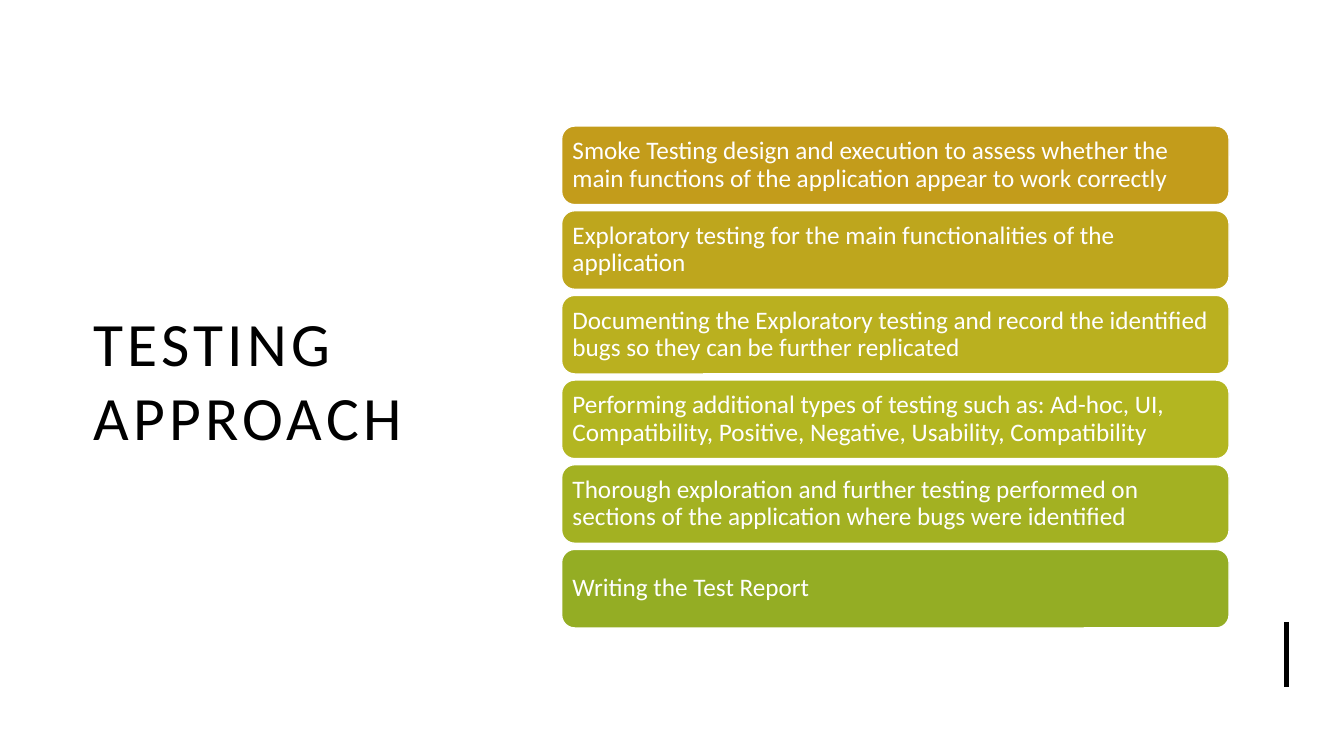
from lxml.etree import SubElement
from pptx import Presentation
from pptx.dml.color import RGBColor
from pptx.enum.shapes import MSO_CONNECTOR, MSO_SHAPE
from pptx.enum.text import MSO_ANCHOR, PP_ALIGN
from pptx.oxml.ns import qn
from pptx.util import Emu, Pt

BLACK = RGBColor(0x00, 0x00, 0x00)
WHITE = RGBColor(0xFF, 0xFF, 0xFF)
GOLD = RGBColor(0xC3, 0x9C, 0x1B)
AMBER = RGBColor(0xBE, 0xA6, 0x1D)
OLIVE = RGBColor(0xBA, 0xB0, 0x1F)
LIME = RGBColor(0xB3, 0xB6, 0x21)
MOSS = RGBColor(0xA3, 0xB1, 0x22)
GREEN = RGBColor(0x94, 0xAD, 0x24)

STEPS = [
    ("Smoke Testing design and execution to assess whether the main functions "
     "of the application appear to work correctly", GOLD),
    ("Exploratory testing for the main functionalities of the application", AMBER),
    ("Documenting the Exploratory testing and record the identified bugs "
     "so they can be further replicated", OLIVE),
    ("Performing additional types of testing such as: Ad-hoc, UI, Compatibility, "
     "Positive, Negative, Usability, Compatibility", LIME),
    ("Thorough exploration and further testing performed on sections "
     "of the application where bugs were identified", MOSS),
    ("Writing the Test Report", GREEN),
]


def px(count):
    return Emu(count * 9144)


def write(frame, text, font="Calibri", size=18, color=BLACK, inset=10, lead=1.0, track=0):
    frame.word_wrap = True
    frame.vertical_anchor = MSO_ANCHOR.MIDDLE
    frame.margin_left = frame.margin_right = px(inset)
    frame.margin_top = frame.margin_bottom = px(inset)
    para = frame.paragraphs[0]
    para.alignment = PP_ALIGN.LEFT
    para.line_spacing = lead
    run = para.add_run()
    run.text = text
    run.font.name = font
    run.font.size = Pt(size)
    run.font.color.rgb = color
    if track:
        run._r.get_or_add_rPr().set("spc", str(track * 100))


class Board:
    font = "Calibri"

    def __init__(self, deck):
        self.slide = deck.slides.add_slide(deck.slide_layouts[6])
        self.shapes = self.slide.shapes

    def title(self, text, x, y, w, h):
        box = self.shapes.add_textbox(px(x), px(y), px(w), px(h))
        write(box.text_frame, text, font=self.font, size=44, track=3)

    def bar(self, text, fill, x, y, w, h):
        bar = self.shapes.add_shape(
            MSO_SHAPE.ROUNDED_RECTANGLE, px(x), px(y), px(w), px(h))
        bar.shadow.inherit = False
        bar.fill.solid()
        bar.fill.fore_color.rgb = fill
        bar.line.color.rgb = WHITE
        bar.line.width = Pt(1)
        write(bar.text_frame, text, font=self.font, color=WHITE, inset=7, lead=0.9)

    def rule(self, x, top, end):
        rule = self.shapes.add_connector(
            MSO_CONNECTOR.STRAIGHT, px(x), px(top), px(x), px(end))
        rule.line.color.rgb = BLACK
        rule.line.width = Pt(3)
        SubElement(rule._element.spPr, qn("a:effectLst"))


def main():
    deck = Presentation()
    deck.slide_width, deck.slide_height = px(1333), px(750)
    board = Board(deck)
    board.title("TESTING APPROACH", 83, 94, 377, 564)
    board.rule(1276, 617, 682)
    for row, (text, fill) in enumerate(STEPS):
        board.bar(text, fill, 557, 125 + 84 * row, 662, 78)
    deck.save("out.pptx")


if __name__ == "__main__":
    main()
